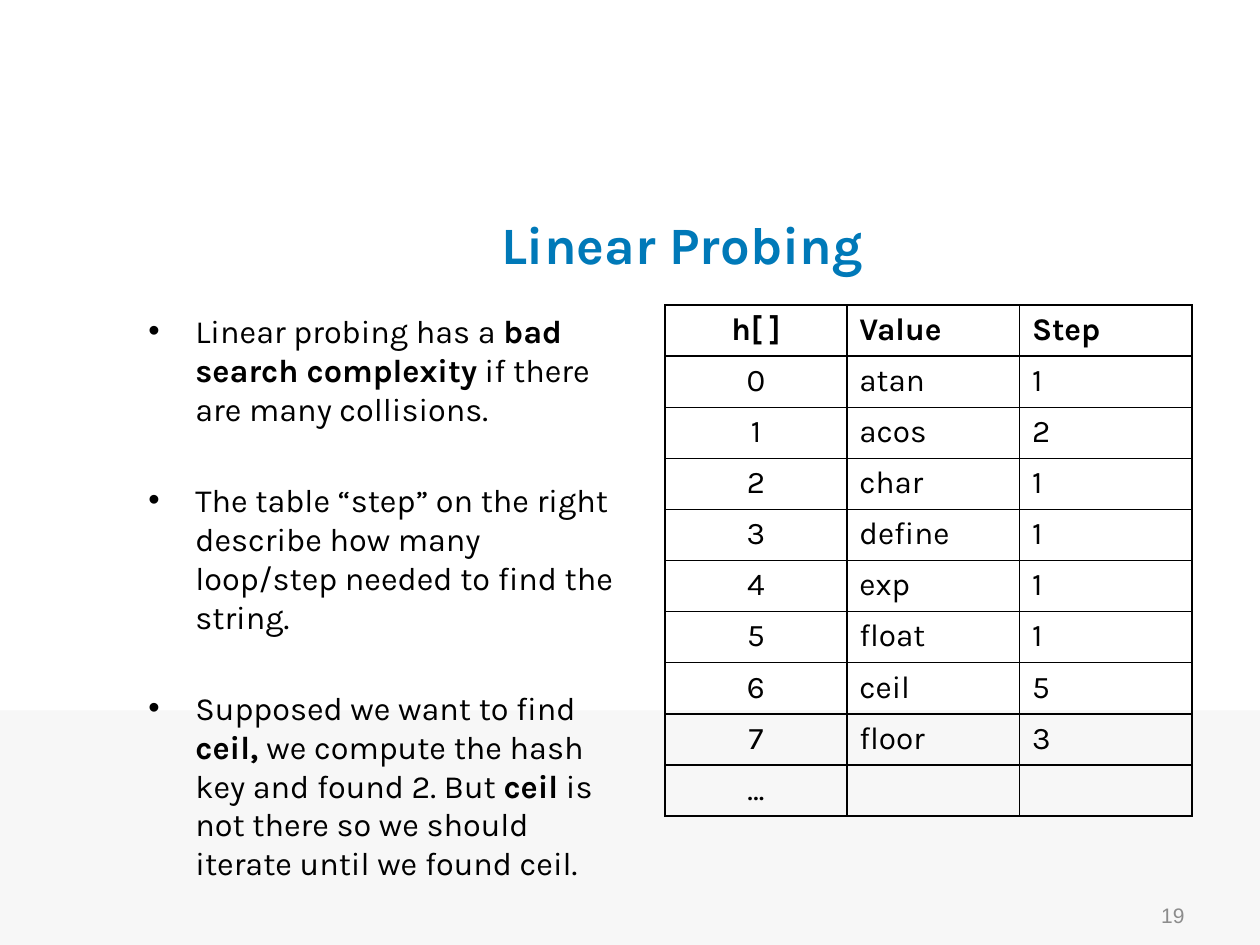
from pptx import Presentation
from pptx.dml.color import RGBColor
from pptx.enum.shapes import MSO_SHAPE as SHAPE
from pptx.enum.text import MSO_ANCHOR as ANCHOR, PP_ALIGN as ALIGN
from pptx.oxml import parse_xml
from pptx.oxml.ns import nsdecls
from pptx.util import Cm, Pt

BLUE = RGBColor(0x00, 0x79, 0xB8)
BLACK = RGBColor(0, 0, 0)
GRAY = RGBColor(0x8C, 0x8C, 0x8C)
PALE = RGBColor(0xF7, 0xF7, 0xF7)

BULLETS = [
    [("Linear probing has a ", False), ("bad search complexity", True),
     (" if there are many collisions.", False)],
    [("The table “step” on the right describe how many loop/step needed "
      "to find the string.", False)],
    [("Supposed we want to find ", False), ("ceil, ", True),
     ("we compute the hash key and found 2. But ", False), ("ceil", True),
     (" is not there so we should iterate until we found ceil.", False)],
]
ENTRIES = [("atan", 1), ("acos", 2), ("char", 1), ("define", 1),
           ("exp", 1), ("float", 1), ("ceil", 5), ("floor", 3)]
HASH_ROWS = [("h[ ]", "Value", "Step")]
HASH_ROWS += [(str(i), value, str(step)) for i, (value, step) in enumerate(ENTRIES)]
HASH_ROWS += [("…", "", "")]


def write(p, text, size=18, font="Karla", color=BLACK, bold=False, align=ALIGN.LEFT):
    p.alignment = align
    r = p.add_run()
    r.text = text
    r.font.size, r.font.name, r.font.bold = Pt(size), font, bold
    r.font.color.rgb = color


class Deck:
    """Holds the style and the current slide, and adds elements to it."""

    def __init__(self, slide, border=1):
        self.shapes = slide.shapes
        self.border = border

    def band(self, left, top, width, height, color):
        sp = self.shapes.add_shape(SHAPE.RECTANGLE, Cm(left), Cm(top), Cm(width), Cm(height))
        sp.shadow.inherit = False
        sp.fill.solid()
        sp.fill.fore_color.rgb = color
        sp.line.fill.background()

    def frame(self, left, top, width, height, anchor=ANCHOR.TOP):
        tf = self.shapes.add_textbox(Cm(left), Cm(top), Cm(width), Cm(height)).text_frame
        tf.word_wrap = True
        tf.vertical_anchor = anchor
        return tf

    def label(self, left, top, width, height, text, **style):
        tf = self.frame(left, top, width, height, ANCHOR.MIDDLE)
        write(tf.paragraphs[0], text, **style)

    def bullets(self, left, top, width, height, items, size, pitch, gap, indent=0.95):
        tf = self.frame(left, top, width, height)
        for i, runs in enumerate(items):
            p = tf.add_paragraph() if i else tf.paragraphs[0]
            p.line_spacing = Pt(pitch)
            p.space_before = Pt(gap if i else 0)
            for text, bold in runs:
                write(p, text, size=size, bold=bold)
            pPr = p._p.get_or_add_pPr()
            pPr.set("marL", str(Cm(indent)))
            pPr.set("indent", str(-Cm(indent)))
            pPr.append(parse_xml(f'<a:buFont {nsdecls("a")} typeface="Arial"/>'))
            pPr.append(parse_xml(f'<a:buChar {nsdecls("a")} char="•"/>'))

    def table(self, left, top, widths, row_height, rows):
        tbl = self.shapes.add_table(len(rows), len(widths), Cm(left), Cm(top),
                                    Cm(sum(widths)), Cm(row_height * len(rows))).table
        tbl.first_row = tbl.horz_banding = False
        for column, width in zip(tbl.columns, widths):
            column.width = Cm(width)
        for i, row in enumerate(rows):
            tbl.rows[i].height = Cm(row_height)
            for j, text in enumerate(row):
                cell = tbl.cell(i, j)
                cell.fill.background()
                self.outline(cell)
                write(cell.text_frame.paragraphs[0], text, bold=i == 0,
                      align=ALIGN.LEFT if j else ALIGN.CENTER)

    def outline(self, cell):
        tcPr = cell._tc.get_or_add_tcPr()
        for i, side in enumerate("LRTB"):
            tcPr.insert(i, parse_xml(
                f'<a:ln{side} {nsdecls("a")} w="{Pt(self.border)}"><a:solidFill>'
                f'<a:srgbClr val="{BLACK}"/></a:solidFill></a:ln{side}>'))


prs = Presentation()
prs.slide_width, prs.slide_height = Cm(25.4), Cm(19.05)
deck = Deck(prs.slides.add_slide(prs.slide_layouts[6]))
deck.band(0, 14.32, 25.4, 4.73, PALE)
deck.label(2.74, 3.81, 22.02, 2.21, "Linear Probing",
           size=30, color=BLUE, bold=True, align=ALIGN.CENTER)
deck.bullets(2.74, 6.15, 10.16, 10.8, BULLETS, size=18.5, pitch=22.2, gap=30)
deck.label(18.21, 17.93, 5.92, 1.02, "19",
           size=12, font="Arial", color=GRAY, align=ALIGN.RIGHT)
deck.table(13.41, 6.15, [3.66, 3.48, 3.48], 1.03, HASH_ROWS)
prs.save("out.pptx")
